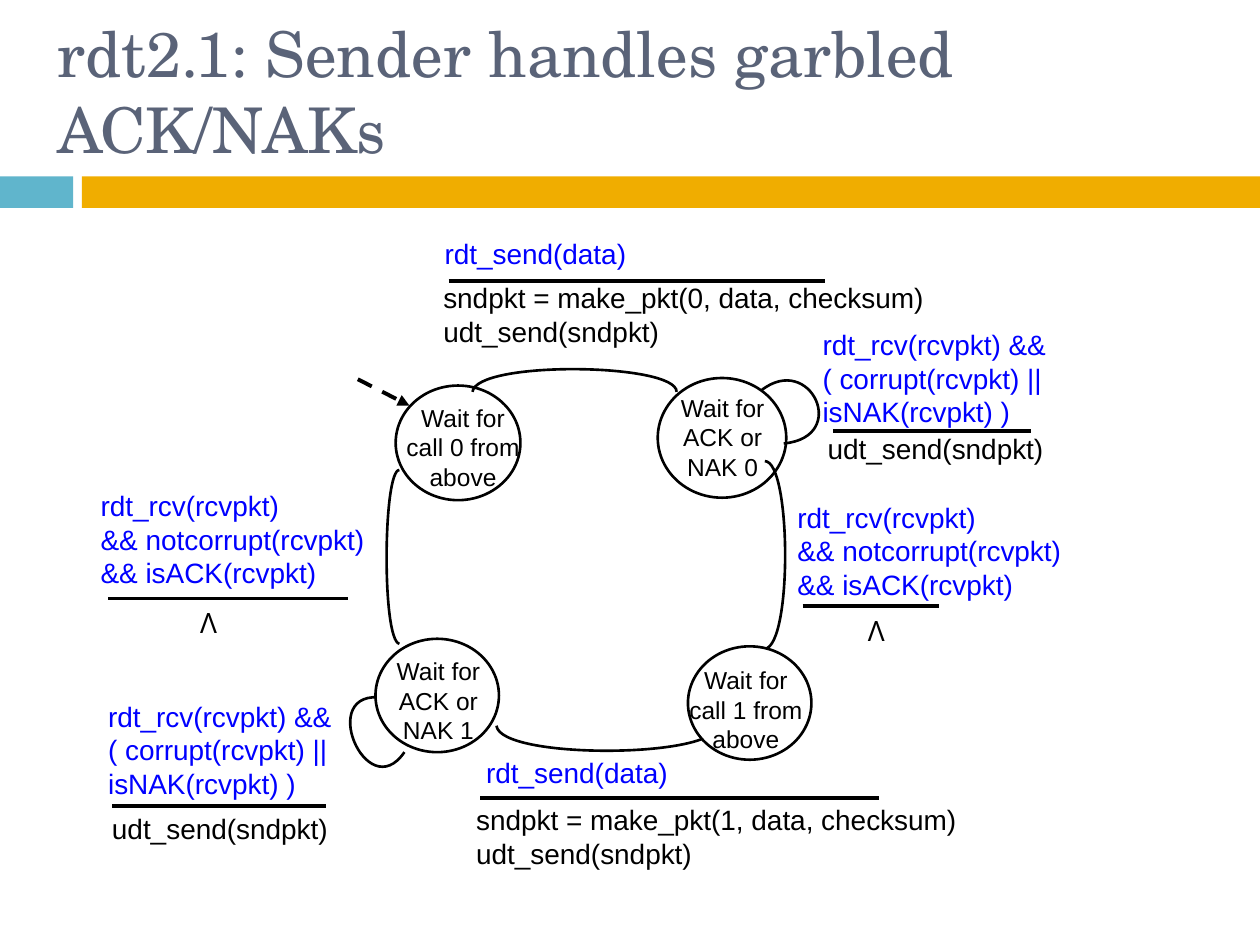
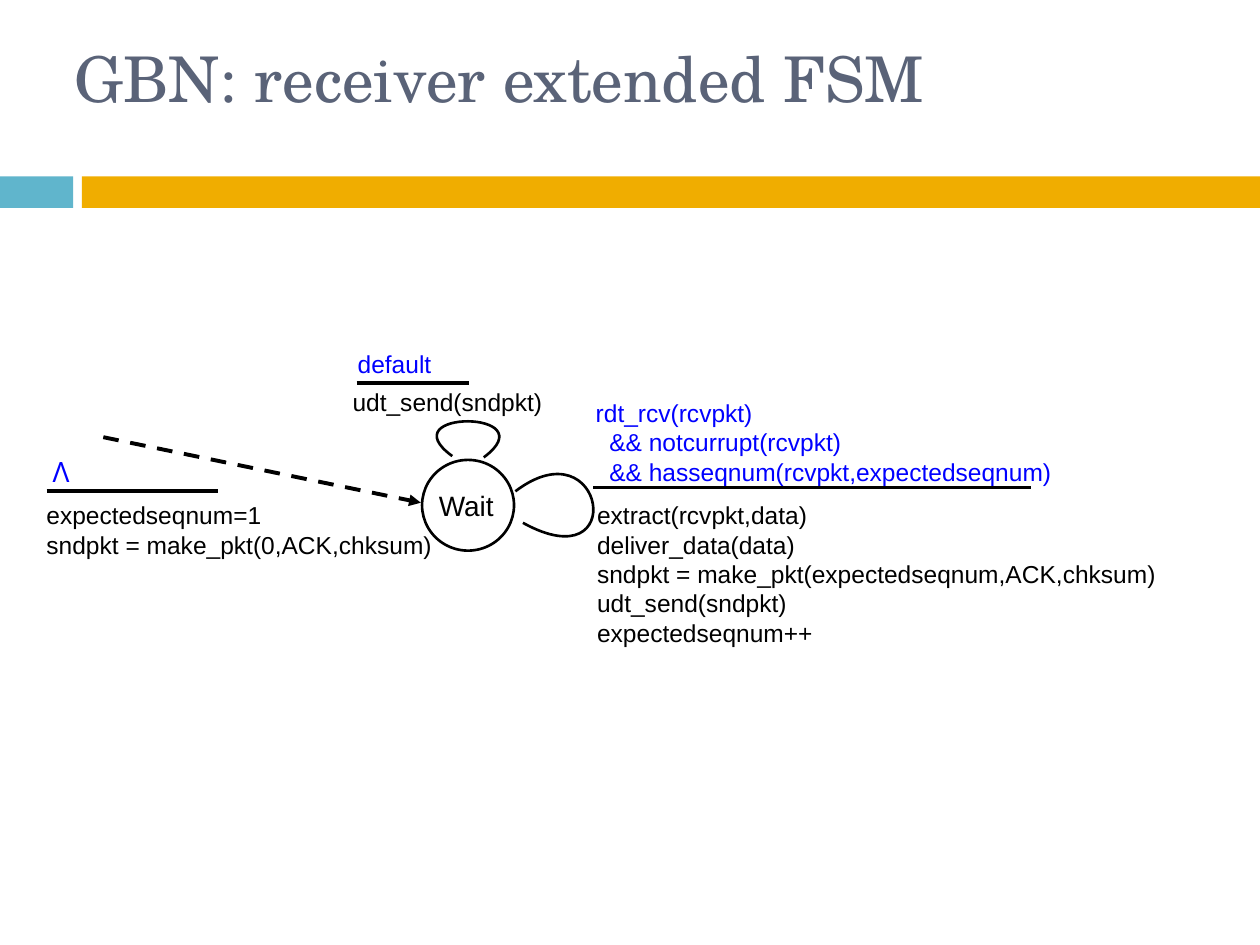
from dataclasses import dataclass

from lxml import etree
from pptx import Presentation
from pptx import util as u
from pptx.dml.color import RGBColor
from pptx.enum import dml, shapes, text
from pptx.oxml import ns


@dataclass(frozen=True)
class Theme:
    title: str = "5A6378"
    accent: str = "60B5CC"
    band: str = "F0AD00"
    event: str = "0000FF"
    ink: str = "000000"
    paper: str = "FFFFFF"
    title_font: str = "TeX Gyre Schola"
    body_font: str = "Arial"
    symbol_font: str = "Open Sans"
    title_size: int = 36
    large: int = 16
    small: int = 14
    thin: float = 1.5
    thick: float = 2.25


T = Theme()
LAMBDA = ["Λ"]
SEND = ["udt_send(sndpkt)"]
CORRUPT = ["rdt_rcv(rcvpkt) &&", "( corrupt(rcvpkt) ||", "isNAK(rcvpkt) )"]
ACKED = ["rdt_rcv(rcvpkt)", "&& notcorrupt(rcvpkt)", "&& isACK(rcvpkt)"]

# Boxes are (left, top, width, height) in inches.
# State: circle box, text box, size, lines.
# Transition: event (box, lines), rule (x1, x2, y, weight), action (box, lines).
# Arc: start, two control points, end of one curve.
SENDER = {
    "title": ((0.36, 0.18, 9.64, 1.07), "rdt2.1: Sender handles garbled ACK/NAKs"),
    "states_below_arcs": [
        ((3.14, 3.06, 0.99, 0.91), (3.08, 3.15, 1.19, 0.67), T.small,
         ["Wait for call 0 from above"]),
        ((5.22, 3, 1.02, 0.95), (5.14, 3.07, 1.19, 0.71), T.small,
         ["Wait for ACK or NAK 0"]),
    ],
    "arcs": [
        ((3.75, 3.11), (3.78, 2.86), (5.37, 2.88), (5.37, 3.11)),
        ((6.04, 3.1), (6.43, 2.79), (6.75, 3.47), (6.22, 3.52)),
        ((6.07, 5.15), (6.29, 5.12), (6.28, 3.66), (6.07, 3.66)),
        ((3.94, 5.76), (3.97, 6.03), (5.69, 6.02), (5.69, 5.76)),
        ((3.21, 5.97), (2.91, 6.41), (2.5, 5.45), (3.05, 5.54)),
        ((3.17, 5.11), (3.03, 5.08), (3.04, 3.73), (3.17, 3.73)),
    ],
    "states_above_arcs": [
        ((5.46, 5.13, 0.98, 0.9), (5.31, 5.23, 1.22, 0.67), T.small,
         ["Wait for", "call 1 from above"]),
        ((2.98, 5.07, 0.98, 0.9), (2.91, 5.16, 1.14, 0.67), T.small,
         ["Wait for ACK or NAK 1"]),
    ],
    "start_arrow": ((2.84, 3.01), (3.25, 3.22)),
    "label_size": T.large,
    "transitions": [
        (((3.43, 1.83, 2.31, 0.33), ["rdt_send(data)"]),
         (3.56, 6.55, 2.23, T.thick),
         ((3.42, 2.18, 4.04, 0.44), ["sndpkt = make_pkt(0, data, checksum)"] + SEND)),
        (((6.43, 2.55, 2.8, 0.62), CORRUPT),
         (6.61, 8.18, 3.42, T.thick),
         ((6.47, 3.38, 2.47, 0.44), SEND)),
        (((6.23, 3.92, 3.28, 0.62), ACKED),
         (6.37, 7.45, 4.81, T.thick),
         ((6.78, 4.82, 0.35, 0.37), LAMBDA)),
        (((3.76, 5.95, 2.61, 0.31), ["rdt_send(data)"]),
         (3.81, 6.98, 6.33, T.thick),
         ((3.68, 6.32, 4.12, 0.44), ["sndpkt = make_pkt(1, data, checksum)"] + SEND)),
        (((0.76, 5.5, 2.2, 0.62), CORRUPT),
         (0.89, 2.59, 6.4, T.thick),
         ((0.79, 6.39, 1.99, 0.3), SEND)),
        (((0.7, 3.83, 2.31, 0.62), ACKED),
         (0.86, 2.76, 4.75, T.thick),
         ((1.48, 4.76, 0.35, 0.37), LAMBDA)),
    ],
}

RECEIVER = {
    "title": ((0.49, 0.23, 8.5, 0.77), "GBN: receiver extended FSM"),
    "states_below_arcs": [
        ((3.35, 3.65, 0.73, 0.72), (3.26, 3.83, 0.88, 0.26), T.large, ["Wait"]),
    ],
    "arcs": [
        ((4.15, 4.15), (5, 4.62), (4.8, 3.36), (4.09, 3.9)),
        ((3.59, 3.62), (3.08, 3.25), (4.35, 3.25), (3.84, 3.63)),
    ],
    "states_above_arcs": [],
    "start_arrow": ((0.82, 3.47), (3.34, 3.99)),
    "label_size": T.small,
    "transitions": [
        (((2.74, 2.72, 0.79, 0.27), ["default"]),
         (2.83, 3.72, 3.04, T.thick),
         ((2.7, 3.02, 1.77, 0.34), SEND)),
        (((4.63, 3.11, 3.9, 0.62),
          ["rdt_rcv(rcvpkt)", "  && notcurrupt(rcvpkt)",
           "  && hasseqnum(rcvpkt,expectedseqnum)"]),
         (4.71, 8.18, 3.87, T.thin),
         ((4.64, 3.92, 4.72, 0.94),
          ["extract(rcvpkt,data)", "deliver_data(data)",
           "sndpkt = make_pkt(expectedseqnum,ACK,chksum)"] + SEND + ["expectedseqnum++"])),
        (((0.31, 3.56, 0.35, 0.37), LAMBDA),
         (0.37, 1.73, 3.9, T.thick),
         ((0.27, 3.92, 3.98, 0.6),
          ["expectedseqnum=1", "sndpkt = make_pkt(0,ACK,chksum)"])),
    ],
}


def inches(values):
    return [u.Inches(v) for v in values]


def rgb(code):
    return RGBColor.from_string(code)


def add_text(s, box, lines, size, color=T.ink, font=T.body_font, centred=False, middle=False):
    tf = s.shapes.add_textbox(*inches(box)).text_frame
    tf.word_wrap = True
    tf.vertical_anchor = text.MSO_ANCHOR.MIDDLE if middle else text.MSO_ANCHOR.TOP
    for i, line in enumerate(lines):
        p = tf.paragraphs[0] if i == 0 else tf.add_paragraph()
        p.text = line
        p.alignment = text.PP_ALIGN.CENTER if centred else text.PP_ALIGN.LEFT
        p.font.name, p.font.size = font, u.Pt(size)
        p.font.color.rgb = rgb(color)


def add_filled(s, kind, box, fill):
    sp = s.shapes.add_shape(kind, *inches(box))
    sp.shadow.inherit = False
    sp.fill.solid()
    sp.fill.fore_color.rgb = rgb(fill)
    sp.line.fill.background()
    return sp


def set_line(line, weight):
    line.color.rgb = rgb(T.ink)
    line.width = u.Pt(weight)


def add_line(s, start, end, weight):
    line = s.shapes.add_connector(shapes.MSO_CONNECTOR.STRAIGHT, *inches(start + end))
    set_line(line.line, weight)
    etree.SubElement(line._element.spPr, ns.qn("a:effectLst"))
    return line


def add_start_arrow(s, start, end):
    arrow = add_line(s, start, end, T.thick)
    arrow.line.dash_style = dml.MSO_LINE.DASH
    etree.SubElement(arrow.line._get_or_add_ln(), ns.qn("a:tailEnd"), type="triangle")


def add_arc(s, start, *rest):
    """Outline the control points, then turn the three segments into one Bezier."""
    builder = s.shapes.build_freeform(*inches(start))
    builder.add_line_segments([inches(point) for point in rest], close=False)
    sp = builder.convert_to_shape()
    sp.shadow.inherit = False
    sp.fill.background()
    set_line(sp.line, T.thin)
    path_el = next(sp._element.iter(ns.qn("a:path")))
    segments = path_el.findall(ns.qn("a:lnTo"))
    curve = etree.SubElement(path_el, ns.qn("a:cubicBezTo"))
    for segment in segments:
        curve.append(segment[0])
        path_el.remove(segment)


def add_state(s, circle, label, size, lines):
    sp = add_filled(s, shapes.MSO_SHAPE.OVAL, circle, T.paper)
    set_line(sp.line, T.thin)
    add_text(s, label, lines, size, centred=True)


def add_label(s, box, lines, size, color):
    if lines == LAMBDA:
        add_text(s, box, lines, T.large, color, T.symbol_font, centred=True)
    else:
        add_text(s, box, lines, size, color)


def add_transition(s, event, rule, action, size):
    """Event above the rule, action below it."""
    x1, x2, y, weight = rule
    add_label(s, *action, size, T.ink)
    add_label(s, *event, size, T.event)
    add_line(s, (x1, y), (x2, y), weight)


def add_frame(s, box, title):
    """Band and title that every slide shares."""
    for left, width, fill in ((0, 0.58, T.accent), (0.65, 9.35, T.band)):
        add_filled(s, shapes.MSO_SHAPE.RECTANGLE, (left, 1.4, width, 0.25), fill)
    add_text(s, box, [title], T.title_size, T.title, T.title_font, middle=True)


def add_machine(prs, machine):
    s = prs.slides.add_slide(prs.slide_layouts[6])
    add_frame(s, *machine["title"])
    for state in machine["states_below_arcs"]:
        add_state(s, *state)
    for arc in machine["arcs"]:
        add_arc(s, *arc)
    for state in machine["states_above_arcs"]:
        add_state(s, *state)
    add_start_arrow(s, *machine["start_arrow"])
    for transition in machine["transitions"]:
        add_transition(s, *transition, machine["label_size"])


def main():
    prs = Presentation()
    prs.slide_width, prs.slide_height = inches((10, 7.5))
    for machine in (SENDER, RECEIVER):
        add_machine(prs, machine)
    prs.save("out.pptx")


if __name__ == "__main__":
    main()
